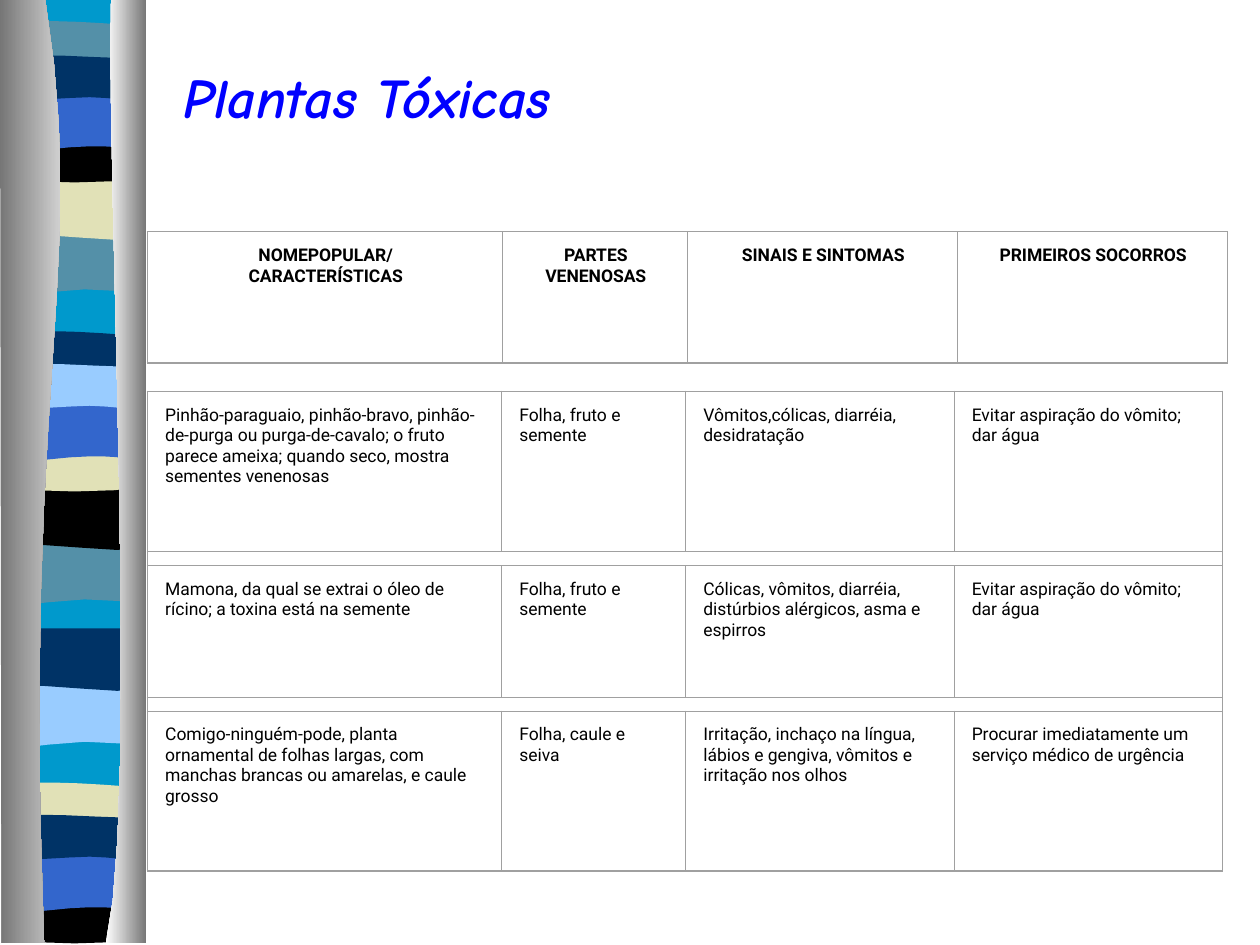
from lxml import etree
from pptx import Presentation
from pptx.dml.color import RGBColor
from pptx.enum.text import PP_ALIGN
from pptx.oxml.ns import qn
from pptx.util import Cm, Pt

HUES = {
    "sky": "0099CC", "teal": "5490A8", "sand": "E1E1B7", "black": "000000",
    "blue": "3366CC", "navy": "003366", "pale": "99CCFF", "title": "0000FF",
    "rule": "A0A0A0", "steel": "767676", "mist": "D0D0D0", "white": "FFFFFF",
}

# Outlines in cm: pairs are corners, sixes are Bezier curves.
WAVES = {
    "dip": [(2.74, 0), (2.74, 1.19), (0.84, 0.99, 0.46, 1.4, 0, 1.19), (0, 0)],
    "roll": [(2.74, 0), (2.74, 1.19), (2.29, 1.4, 0.84, 1.04, 0, 1.19), (0, 0)],
    "thin": [(2.74, 0), (2.74, 0.61), (2.29, 0.74, 0.46, 0.74, 0, 0.61), (0, 0),
             (0.18, -0.13, 0.58, -0.1, 1.04, -0.1), (1.5, -0.1, 2.39, -0.03, 2.74, 0)],
    "bowl": [(2.74, 0), (2.74, 0.84), (2.29, 0.97, 0.46, 0.97, 0, 0.84), (0, 0),
             (1.68, 0.13, 2.16, 0, 2.74, 0)],
    "arch": [(2.74, 0), (2.74, 1.2), (2.31, 1.07, 2.13, 1.07, 1.68, 1.07),
             (1.22, 1.07, 0.41, 1.2, 0, 1.2), (0, 0)],
    "flag": [(2.74, 0), (2.74, 0.79), (2.57, 0.91, 2.13, 0.79, 1.68, 0.79),
             (1.22, 0.79, 0.28, 0.91, 0, 0.79), (0, 0), (0.38, -0.13, 1.85, 0, 2.31, 0)],
}
BANDS = [
    ("dip", 4.7, "teal"), ("roll", 3.58, "sand"), ("thin", 0.53, "teal"),
    ("bowl", 2.74, "black"), ("arch", 1.88, "blue"), ("flag", 1.17, "navy"),
    ("dip", 10.95, "teal"), ("roll", 9.83, "black"), ("thin", 6.78, "navy"),
    ("bowl", 8.97, "sand"), ("arch", 8.13, "blue"), ("flag", 7.39, "pale"),
    ("dip", 13.82, "pale"), ("roll", 12.67, "navy"), ("thin", 15.88, "sand"),
    ("bowl", 18.08, "black"), ("arch", 17.22, "blue"), ("flag", 16.48, "navy"),
]
BASE = [(2.74, 0), (2.74, 19), (0, 19), (0, 0)]
LEFT = [(0.91, -0.03), (1.8, 5.49, 0.43, 7.52, 0.89, 19.02), (0.03, 19.02), (0, -0.03)]
RIGHT = [(2.24, -0.03), (2.13, 3.18, 2.82, 16.41, 2.13, 19.02), (2.95, 19.02), (2.95, 0)]

HEADS = [["NOMEPOPULAR/\nCARACTERÍSTICAS", "PARTES VENENOSAS",
          "SINAIS E SINTOMAS", "PRIMEIROS SOCORROS"]]
PLANTS = [
    ["Pinhão-paraguaio, pinhão-bravo, pinhão-de-purga ou purga-de-cavalo; "
     "o fruto parece ameixa; quando seco, mostra sementes venenosas",
     "Folha, fruto e semente", "Vômitos,cólicas, diarréia, desidratação",
     "Evitar aspiração do vômito; dar água"],
    None,
    ["Mamona, da qual se extrai o óleo de rícino; a toxina está na semente",
     "Folha, fruto e semente",
     "Cólicas, vômitos, diarréia, distúrbios alérgicos, asma e espirros",
     "Evitar aspiração do vômito; dar água"],
    None,
    ["Comigo-ninguém-pode, planta ornamental de folhas largas, com manchas "
     "brancas ou amarelas, e caule grosso", "Folha, caule e seiva",
     "Irritação, inchaço na língua, lábios e gengiva, vômitos e irritação nos olhos",
     "Procurar imediatamente um serviço médico de urgência"],
]


def tint(name):
    return RGBColor.from_string(HUES[name])


def trace(path, steps):
    """Turn corners and Bezier curves into a list of points."""
    pts = []
    for part in path:
        if len(part) == 2:
            pts.append(part)
            continue
        x0, y0 = pts[-1]
        x1, y1, x2, y2, x3, y3 = part
        for i in range(1, steps + 1):
            t = i / steps
            a, b, c, d = (1 - t) ** 3, 3 * t * (1 - t) ** 2, 3 * t * t * (1 - t), t ** 3
            pts.append((a * x0 + b * x1 + c * x2 + d * x3,
                        a * y0 + b * y1 + c * y2 + d * y3))
    return pts


def write(frame, text, size=10, font="Roboto", color="black", bold=False,
          slant=False, align=PP_ALIGN.LEFT):
    for i, line in enumerate(text.split("\n")):
        para = frame.paragraphs[0] if i == 0 else frame.add_paragraph()
        para.alignment = align
        run = para.add_run()
        run.text = line
        run.font.size, run.font.name = Pt(size), font
        run.font.bold, run.font.italic = bold, slant
        run.font.color.rgb = tint(color)


def edge(cell, side, width):
    """Draw one cell border; a width of 0 hides it."""
    line = etree.SubElement(cell._tc.get_or_add_tcPr(), qn("a:ln" + side), w=str(Pt(width)))
    if width:
        fill = etree.SubElement(line, qn("a:solidFill"))
        etree.SubElement(fill, qn("a:srgbClr"), val=HUES["rule"])
    else:
        etree.SubElement(line, qn("a:noFill"))


class Deck:
    thick, fine = 0.88, 0.25

    def __init__(self):
        self.show = Presentation()
        self.show.slide_width, self.show.slide_height = Cm(25.4), Cm(19.05)
        self.slide = self.show.slides.add_slide(self.show.slide_layouts[6])

    def form(self, path, color, end=None, left=0, top=0, steps=4):
        """Fill an outline with a colour, or blend it rightward to end."""
        pts = [(Cm(x + left), Cm(y + top)) for x, y in trace(path, steps)]
        pen = self.slide.shapes.build_freeform(*pts[0])
        pen.add_line_segments(pts[1:], close=True)
        shape = pen.convert_to_shape()
        shape.shadow.inherit = False
        shape.line.fill.background()
        if end:
            shape.fill.gradient()
            shape.fill.gradient_angle = 0
            for stop, name in zip(shape.fill.gradient_stops, (color, end)):
                stop.color.rgb = tint(name)
        else:
            shape.fill.solid()
            shape.fill.fore_color.rgb = tint(color)

    def label(self, text, left, top, width, height, **style):
        box = self.slide.shapes.add_textbox(Cm(left), Cm(top), Cm(width), Cm(height))
        box.text_frame.word_wrap = False
        write(box.text_frame, text, **style)

    def table(self, rows, left, top, wides, highs, **style):
        """Add a ruled table; a row of None is a narrow gap."""
        grid = self.slide.shapes.add_table(
            len(rows), len(wides), Cm(left), Cm(top), Cm(sum(wides)), Cm(sum(highs))).table
        grid.first_row = grid.horz_banding = False
        for col, wide in zip(grid.columns, wides):
            col.width = Cm(wide)
        for r, (row, high) in enumerate(zip(rows, highs)):
            grid.rows[r].height = Cm(high)
            for c in range(len(wides)):
                cell = grid.cell(r, c)
                inner = self.fine if row else 0
                edge(cell, "L", self.thick if c == 0 else inner)
                edge(cell, "R", self.thick if c == len(wides) - 1 else inner)
                edge(cell, "T", self.thick if r == 0 else self.fine)
                edge(cell, "B", self.thick if r == len(rows) - 1 else self.fine)
                cell.fill.background()
                if row:
                    cell.margin_left, cell.margin_right = Cm(0.36), Cm(0.33)
                    cell.margin_top, cell.margin_bottom = Cm(0.28), Cm(0.13)
                    write(cell.text_frame, row[c], **style)
                else:
                    cell.margin_top = cell.margin_bottom = 0
                    para = cell.text_frame.paragraphs[0]
                    etree.SubElement(para._p, qn("a:endParaRPr"), sz="400")


def main():
    deck = Deck()
    deck.form(BASE, "sky", left=0.13)
    for wave, top, color in BANDS:
        deck.form(WAVES[wave], color, left=0.13, top=top)
    deck.form(LEFT, "steel", "mist", steps=12)
    deck.form(RIGHT, "white", "steel", steps=12)
    deck.table(HEADS, 2.97, 4.67, [7.16, 3.73, 5.44, 5.44], [2.65],
               bold=True, align=PP_ALIGN.CENTER)
    deck.table(PLANTS, 2.97, 7.89, [7.14, 3.71, 5.41, 5.41],
               [3.23, 0.28, 2.65, 0.28, 3.23])
    deck.label("Plantas Tóxicas", 3.45, 1.14, 8, 1.63, size=32, font="Comic Neue",
               color="title", bold=True, slant=True)
    deck.show.save("out.pptx")


if __name__ == "__main__":
    main()
